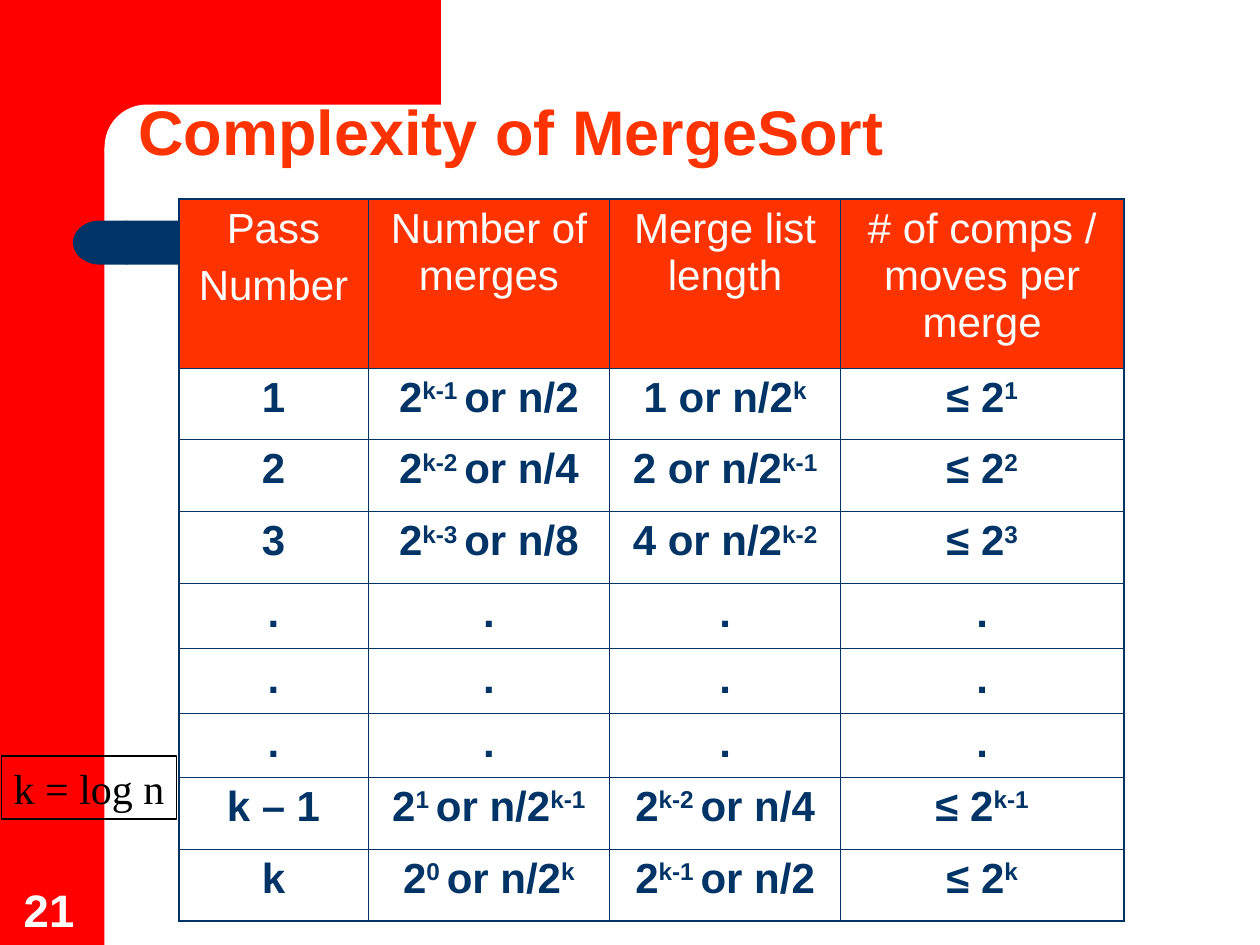
from dataclasses import dataclass

from lxml.etree import SubElement
from pptx import Presentation
from pptx.dml.color import RGBColor
from pptx.enum.shapes import MSO_SHAPE
from pptx.enum.text import MSO_ANCHOR, PP_ALIGN
from pptx.oxml.ns import qn
from pptx.util import Inches, Pt


@dataclass(frozen=True)
class Theme:
    red: str = "FF0000"
    orange: str = "FF3300"
    navy: str = "003366"
    white: str = "FFFFFF"
    black: str = "000000"
    sans: str = "Arial"
    serif: str = "Times New Roman"
    title_size: int = 36
    number_size: int = 26
    body_size: int = 24
    inner_line: float = 0.45
    outer_line: float = 1.08


THEME = Theme()
COLUMN_WIDTHS = [1.5, 1.92, 1.83, 2.25]
ROW_HEIGHTS = [1.34, 0.57, 0.57, 0.57, 0.52, 0.51, 0.51, 0.57, 0.57]
HEADERS = ["Pass\nNumber", "Number of merges", "Merge list length",
           "# of comps / moves per merge"]
# A caret switches superscript on and off
PASSES = [
    ["1", "2^k-1 ^or n/2", "1 or n/2^k", "≤ 2^1"],
    ["2", "2^k-2 ^or n/4", "2 or n/2^k-1", "≤ 2^2"],
    ["3", "2^k-3 ^or n/8", "4 or n/2^k-2", "≤ 2^3"],
    *[["."] * 4 for _ in range(3)],
    ["k – 1", "2^1 ^or n/2^k-1", "2^k-2 ^or n/4", "≤ 2^k-1"],
    ["k", "2^0 ^or n/2^k", "2^k-1 ^or n/2", "≤ 2^k"],
]


def set_attributes(target, values):
    for name, value in values.items():
        setattr(target, name, value)


def write_text(frame, text, size, color, font=THEME.sans, bold=False, **paragraph_format):
    for index, line in enumerate(text.split("\n")):
        paragraph = frame.add_paragraph() if index else frame.paragraphs[0]
        set_attributes(paragraph, paragraph_format)
        for part, words in enumerate(line.split("^")):
            run = paragraph.add_run()
            run.text = words
            set_attributes(run.font, {"name": font, "size": Pt(size), "bold": bold})
            run.font.color.rgb = RGBColor.from_string(color)
            if part % 2:
                run.font._element.set("baseline", "30000")


def add_block(slide, kind, left, top, width, height, fill=None):
    block = slide.shapes.add_shape(
        kind, Inches(left), Inches(top), Inches(width), Inches(height))
    block.shadow.inherit = False
    block.line.fill.background()
    if fill:
        block.fill.solid()
        block.fill.fore_color.rgb = RGBColor.from_string(fill)
    else:
        block.fill.background()
    return block


def add_label(slide, left, top, width, height, text, **text_format):
    label = slide.shapes.add_textbox(
        Inches(left), Inches(top), Inches(width), Inches(height))
    set_attributes(label.text_frame,
                   {"word_wrap": True, "vertical_anchor": MSO_ANCHOR.BOTTOM})
    write_text(label.text_frame, text, **text_format)


def add_frame(slide, left, top, width, height):
    # Red side and top bands, with a rounded white corner
    add_block(slide, MSO_SHAPE.RECTANGLE, left, top, 0.83, height, THEME.red)
    add_block(slide, MSO_SHAPE.RECTANGLE, left + 0.75, top, 2.75, 1.17, THEME.red)
    corner = add_block(slide, MSO_SHAPE.ROUNDED_RECTANGLE,
                       left + 0.83, top + 0.83, width - 4.42, 0.67, THEME.white)
    corner.adjustments[0] = 0.5


def add_accent_bar(slide, left, top, width, height):
    cap_width = 0.43
    add_block(slide, MSO_SHAPE.RECTANGLE,
              left + cap_width - 0.01, top, width - cap_width + 0.01, height, THEME.navy)
    cap = add_block(slide, MSO_SHAPE.FLOWCHART_DELAY, left, top, cap_width, height, THEME.navy)
    cap._element.spPr.find(qn("a:xfrm")).set("flipH", "1")


def set_borders(cell, widths):
    properties = cell._tc.get_or_add_tcPr()
    for index, (side, width) in enumerate(widths.items()):
        line = SubElement(properties, qn(f"a:ln{side}"), w=str(Pt(width)))
        fill = SubElement(line, qn("a:solidFill"))
        SubElement(fill, qn("a:srgbClr"), val=THEME.navy)
        properties.insert(index, line)


def add_pass_table(slide, left, top, width, height):
    rows = [HEADERS, *PASSES]
    last_row, last_column = len(rows) - 1, len(HEADERS) - 1
    table = slide.shapes.add_table(
        len(rows), len(HEADERS), Inches(left), Inches(top),
        Inches(width), Inches(height)).table
    set_attributes(table, {"first_row": False, "horz_banding": False})
    for column, column_width in zip(table.columns, COLUMN_WIDTHS):
        column.width = Inches(column_width)
    for row, row_height in zip(table.rows, ROW_HEIGHTS):
        row.height = Inches(row_height)

    for r, texts in enumerate(rows):
        for c, text in enumerate(texts):
            cell = table.cell(r, c)
            is_header = r == 0
            if is_header:
                cell.fill.solid()
                cell.fill.fore_color.rgb = RGBColor.from_string(THEME.orange)
            else:
                cell.fill.background()
            write_text(cell.text_frame, text, THEME.body_size,
                       THEME.white if is_header else THEME.navy, bold=not is_header,
                       alignment=PP_ALIGN.CENTER, space_before=Pt(6))
            on_edge = {"L": c == 0, "R": c == last_column,
                       "T": r == 0, "B": r == last_row}
            set_borders(cell, {side: THEME.outer_line if outer else THEME.inner_line
                               for side, outer in on_edge.items()})


def add_formula_note(slide, left, top, width, height):
    note = add_block(slide, MSO_SHAPE.RECTANGLE, left, top, width, height)
    note.line.color.rgb = RGBColor.from_string(THEME.black)
    note.line.width = Pt(0.75)
    set_attributes(note.text_frame,
                   {"word_wrap": False, "vertical_anchor": MSO_ANCHOR.TOP})
    write_text(note.text_frame, "k = log n", THEME.body_size, THEME.black,
               THEME.serif, alignment=PP_ALIGN.LEFT)


def main():
    deck = Presentation()
    set_attributes(deck, {"slide_width": Inches(10), "slide_height": Inches(7.5)})
    slide = deck.slides.add_slide(deck.slide_layouts[6])

    # Background decoration
    add_frame(slide, 0, 0, 10, 7.5)
    add_accent_bar(slide, 0.58, 1.75, 8.09, 0.35)

    # Page number and title
    add_label(slide, 0.09, 6.94, 0.64, 0.54, "21",
              size=THEME.number_size, color=THEME.white, bold=True)
    add_label(slide, 1, 0.75, 8.75, 0.64, "Complexity of MergeSort",
              size=THEME.title_size, color=THEME.orange, bold=True, line_spacing=0.9)

    # Passes and the meaning of k
    add_pass_table(slide, 1.42, 1.58, 7.5, 5.75)
    add_formula_note(slide, 0.01, 6, 1.39, 0.5)

    deck.save("out.pptx")


if __name__ == "__main__":
    main()
